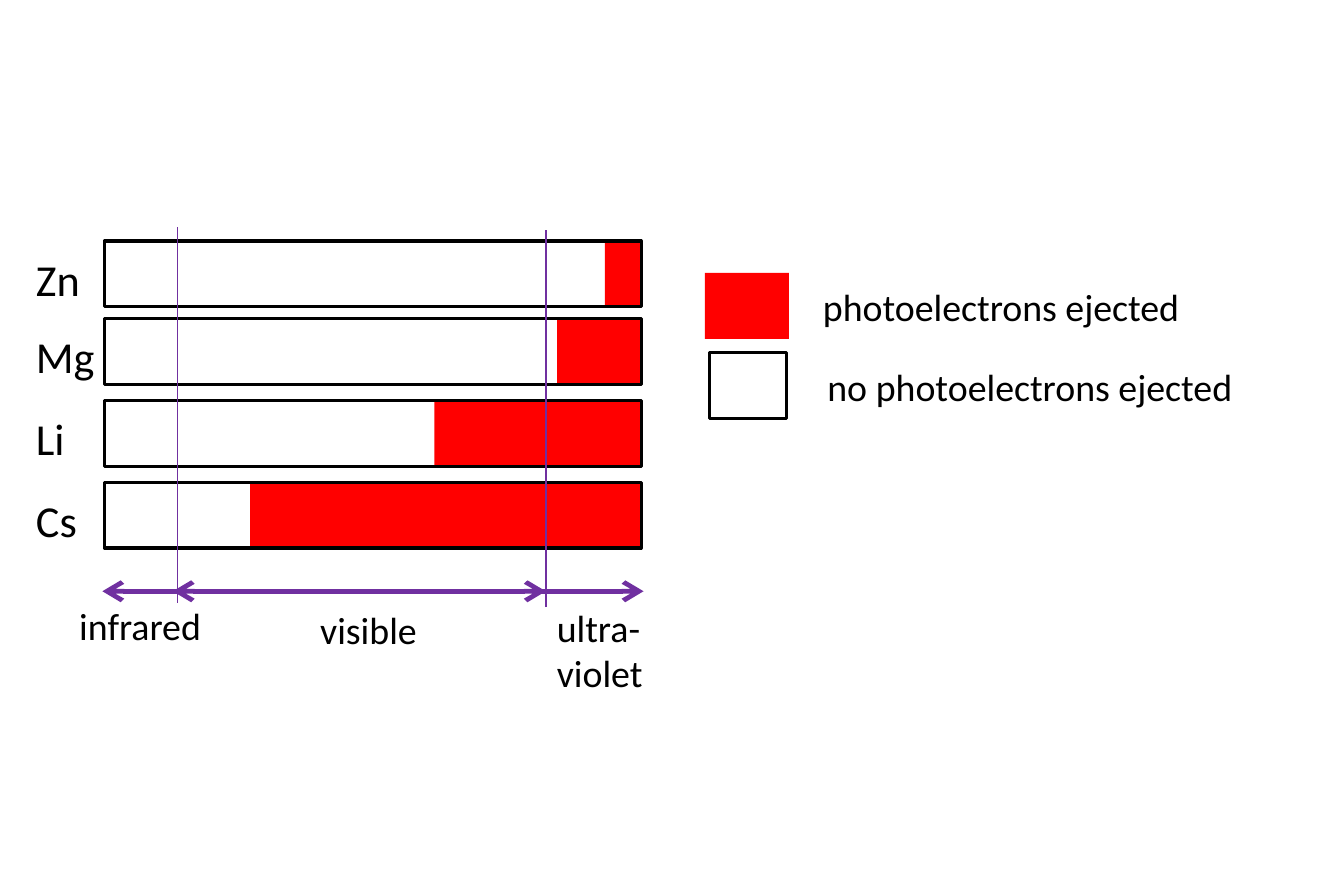
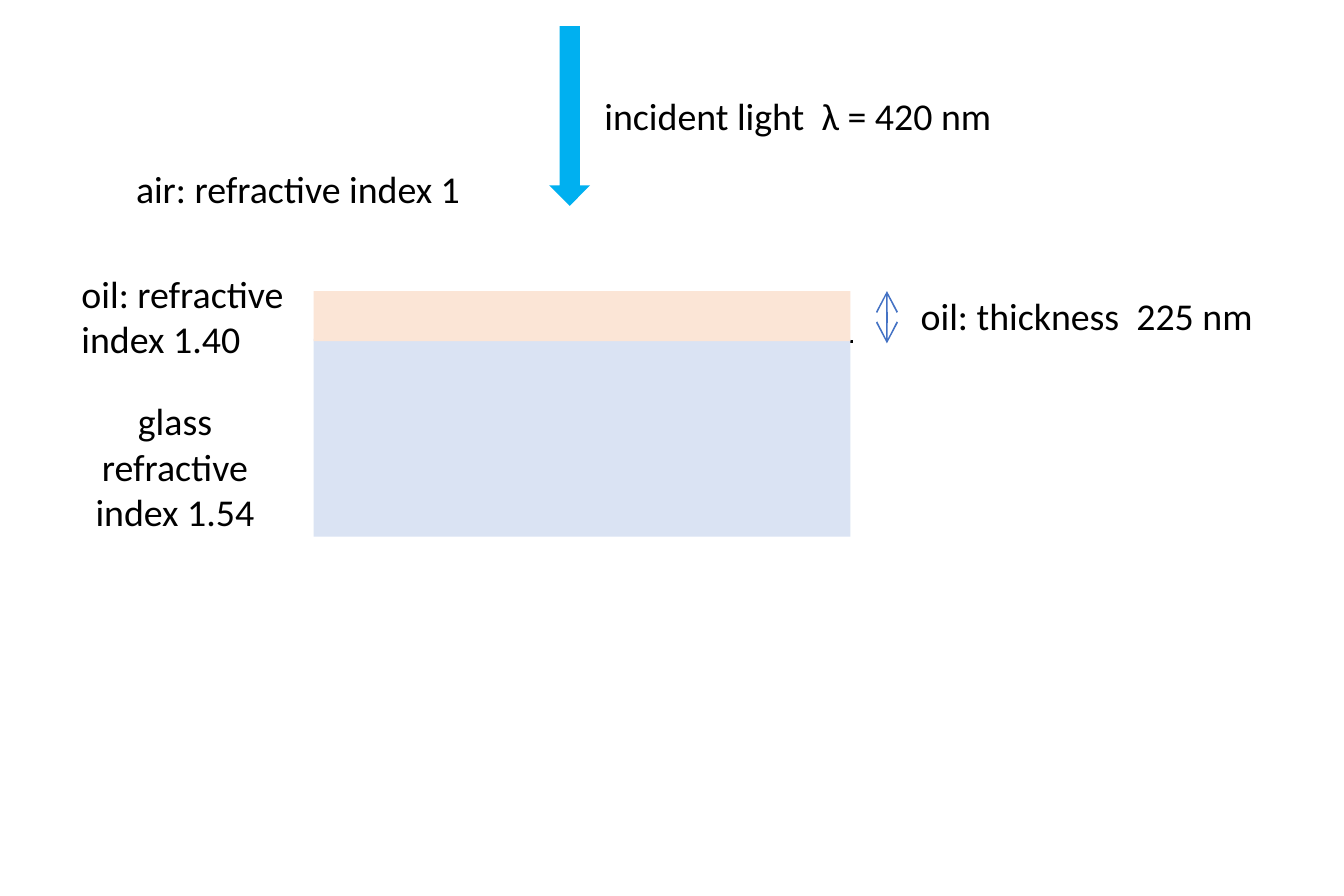
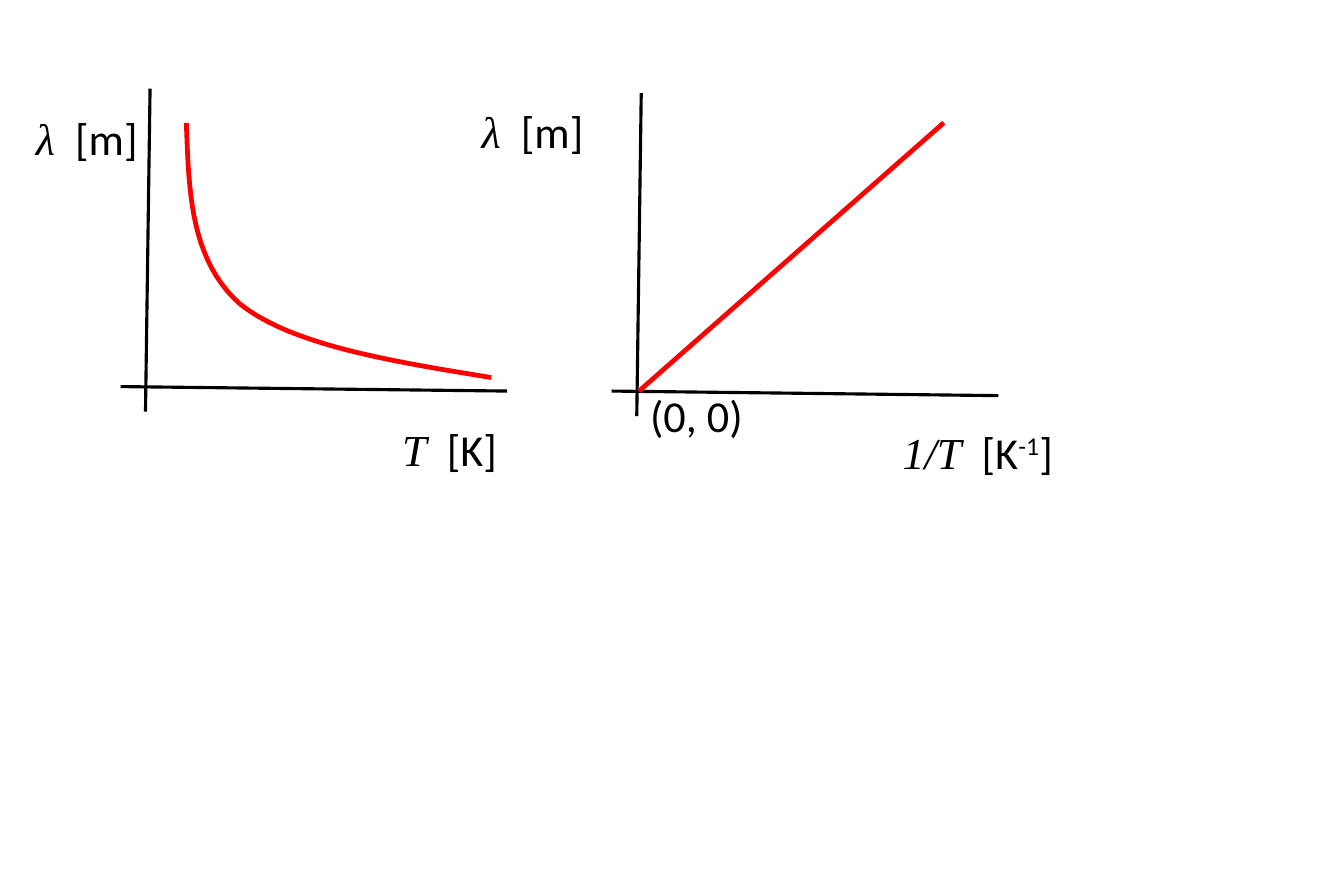
"""Builds three physics diagrams: photoelectric bars, an oil film and wavelength graphs."""

from lxml import etree
from pptx import Presentation
from pptx.dml.color import RGBColor
from pptx.enum.shapes import MSO_CONNECTOR, MSO_SHAPE
from pptx.enum.text import MSO_AUTO_SIZE, PP_ALIGN
from pptx.oxml.ns import qn
from pptx.util import Inches, Pt

RECTANGLE = MSO_SHAPE.RECTANGLE
RIGHT_ARROW = MSO_SHAPE.RIGHT_ARROW
STRAIGHT = MSO_CONNECTOR.STRAIGHT
GROW = MSO_AUTO_SIZE.SHAPE_TO_FIT_TEXT
LEFT = PP_ALIGN.LEFT
CENTER = PP_ALIGN.CENTER

COLORS = {
    "black": "000000",
    "red": "FF0000",
    "purple": "7030A0",
    "glass": "DAE3F3",
    "oil": "FBE5D6",
    "light": "00B0F0",
    "blue": "4472C4",
}
BODY_FONT = "Calibri"
SYMBOL_FONT = "Times New Roman"


def color_of(name):
    """Return the named colour."""
    return RGBColor.from_string(COLORS[name])


def add_span(para, text, size=12, font=BODY_FONT, italic=False, raised=False):
    """Add formatted text to a paragraph."""
    span = para.add_run()
    span.text = text
    span.font.size = Pt(size)
    span.font.name = font
    span.font.italic = italic
    span.font.color.rgb = color_of("black")
    if raised:
        span.font._element.set("baseline", "30000")


def add_box(page, left, top, width, height, wrap=False):
    """Add an empty text box and return its text frame."""
    box = page.shapes.add_textbox(Inches(left), Inches(top), Inches(width), Inches(height))
    frame = box.text_frame
    frame.word_wrap = wrap
    frame.auto_size = GROW
    return frame


def add_text(page, text, left, top, width, height=0.3, size=12, wrap=False, align=LEFT):
    """Add a plain label with one paragraph for each line."""
    frame = add_box(page, left, top, width, height, wrap)
    for index, line in enumerate(text.split("\n")):
        para = frame.add_paragraph() if index else frame.paragraphs[0]
        para.alignment = align
        add_span(para, line, size=size)


def add_quantity(page, symbol, unit, left, top, width, power=""):
    """Add an axis label made of an italic symbol and a bracketed unit."""
    para = add_box(page, left, top, width, 0.34).paragraphs[0]
    add_span(para, symbol, size=14, font=SYMBOL_FONT, italic=True)
    add_span(para, f"  [{unit}" if power else f"  [{unit}]", size=14)
    if power:
        add_span(para, power, size=14, raised=True)
        add_span(para, "]", size=14)


def add_shape(page, left, top, width, height, kind=RECTANGLE, fill=None, line=None):
    """Add a preset shape with an optional fill and outline."""
    shape = page.shapes.add_shape(kind, Inches(left), Inches(top), Inches(width), Inches(height))
    shape.shadow.inherit = False
    if fill:
        shape.fill.solid()
        shape.fill.fore_color.rgb = color_of(fill)
    else:
        shape.fill.background()
    if line:
        shape.line.color.rgb = color_of(line)
        shape.line.width = Pt(1)
    else:
        shape.line.fill.background()
    return shape


def add_line(shapes, start, end, color="black", width=1, head=False, tail=False):
    """Add a straight line with optional open arrowheads at its start and end."""
    connector = shapes.add_connector(STRAIGHT, *map(Inches, start + end))
    connector.line.color.rgb = color_of(color)
    connector.line.width = Pt(width)
    outline = connector.line._get_or_add_ln()
    for tag, wanted in (("a:headEnd", head), ("a:tailEnd", tail)):
        if wanted:
            etree.SubElement(outline, qn(tag)).set("type", "arrow")
    etree.SubElement(connector._element.spPr, qn("a:effectLst"))


def add_axes(page, left, top):
    """Add a grouped pair of hand-drawn axes."""
    shapes = page.shapes.add_group_shape().shapes
    add_line(shapes, (left + 0.13, top), (left + 0.11, top + 1.42))
    add_line(shapes, (left, top + 1.31), (left + 1.7, top + 1.33))


def bezier_points(start, control1, control2, end, steps=20):
    """Return the points of a cubic curve after its start."""
    points = []
    for step in range(1, steps + 1):
        t = step / steps
        weights = ((1 - t) ** 3, 3 * t * (1 - t) ** 2, 3 * t * t * (1 - t), t ** 3)
        corners = (start, control1, control2, end)
        points.append(tuple(
            Inches(sum(weight * corner[axis] for weight, corner in zip(weights, corners)))
            for axis in (0, 1)
        ))
    return points


def add_curve(page, start, segments):
    """Add a red open curve of cubic segments."""
    builder = page.shapes.build_freeform(Inches(start[0]), Inches(start[1]))
    for segment in segments:
        builder.add_line_segments(bezier_points(start, *segment), close=False)
        start = segment[-1]
    curve = builder.convert_to_shape()
    curve.shadow.inherit = False
    curve.fill.background()
    curve.line.color.rgb = color_of("red")
    curve.line.width = Pt(1.5)


def build_photoelectric(page):
    """Draw the bars of four metals over the bands of the spectrum."""
    bar_left, bar_right, bar_height = 0.46, 2.82, 0.29
    add_shape(page, 3.1, 1.2, 0.37, bar_height, fill="red")
    add_shape(page, 3.12, 1.55, 0.34, bar_height, line="black")
    metals = (
        ("Zn", 1.06, 2.66, 0.4),
        ("Mg", 1.4, 2.45, 0.46),
        ("Li", 1.76, 1.91, 0.33),
        ("Cs", 2.12, 1.1, 0.38),
    )
    for symbol, top, threshold, label_width in metals:
        add_shape(page, threshold, top, bar_right - threshold, bar_height, fill="red")
        add_shape(page, bar_left, top, bar_right - bar_left, bar_height, line="black")
        add_text(page, symbol, 0.06, top, label_width, 0.34, size=14)
    bands = ((0.45, 0.79, True, False), (0.76, 2.4, True, True), (2.38, 2.83, False, True))
    for left, right, head, tail in bands:
        add_line(page.shapes, (left, 2.6), (right, 2.6), "purple", 1.5, head, tail)
    add_text(page, "infrared", 0.25, 2.6, 0.74)
    add_text(page, "visible", 1.31, 2.62, 0.63)
    add_text(page, "ultra-\nviolet", 2.35, 2.61, 0.58, 0.5)
    for x, bottom, top in ((0.78, 2.65, 1), (2.4, 2.67, 1.01)):
        add_line(page.shapes, (x, bottom), (x, top), "purple", 0.5)
    add_text(page, "photoelectrons ejected", 3.52, 1.2, 1.79)
    add_text(page, "no photoelectrons ejected", 3.54, 1.55, 2)


def build_oil_film(page):
    """Draw light falling on an oil film on glass."""
    add_line(page.shapes, (1.39, 1.5), (3.75, 1.5))
    add_shape(page, 1.38, 1.49, 2.36, 0.87, fill="glass")
    add_shape(page, 1.38, 1.28, 2.36, 0.22, fill="oil")
    light = add_shape(page, 2.11, 0.42, 0.79, 0.18, kind=RIGHT_ARROW, fill="light")
    light.rotation = 90
    add_text(page, "incident light  λ = 420 nm", 2.56, 0.36, 1.94)
    add_text(page, "air: refractive index 1", 0.5, 0.68, 1.63, wrap=True)
    add_text(page, "oil: refractive index 1.40", 0.26, 1.14, 1.42, 0.5, wrap=True)
    add_text(page, "glass refractive index 1.54", 0.24, 1.7, 1.06, 0.71, wrap=True, align=CENTER)
    add_line(page.shapes, (3.9, 1.28), (3.9, 1.51), "blue", 0.5, head=True, tail=True)
    add_text(page, "oil: thickness  225 nm", 3.95, 1.24, 1.69)


def build_wavelength_graphs(page):
    """Draw wavelength against temperature and against its inverse."""
    add_axes(page, 0.53, 0.39)
    add_curve(page, (0.82, 0.54), (
        ((0.83, 0.85), (0.84, 1.15), (1.06, 1.34)),
        ((1.29, 1.52), (1.73, 1.59), (2.16, 1.66)),
    ))
    add_quantity(page, "T", "K", 1.67, 1.81, 0.62)
    add_quantity(page, "λ", "m", 0.06, 0.44, 0.67)
    add_axes(page, 2.69, 0.41)
    add_quantity(page, "λ", "m", 2.02, 0.41, 0.67)
    add_quantity(page, "1/T", "K", 3.87, 1.82, 0.88, power="-1")
    add_line(page.shapes, (2.81, 1.72), (4.15, 0.54), "red", 1.5)
    add_text(page, "(0, 0)", 2.76, 1.66, 0.61, 0.34, size=14)


def main():
    """Build the deck and save it."""
    deck = Presentation()
    deck.slide_width = Inches(5.91)
    deck.slide_height = Inches(3.94)
    for build in (build_photoelectric, build_oil_film, build_wavelength_graphs):
        build(deck.slides.add_slide(deck.slide_layouts[6]))
    deck.save("out.pptx")


if __name__ == "__main__":
    main()
